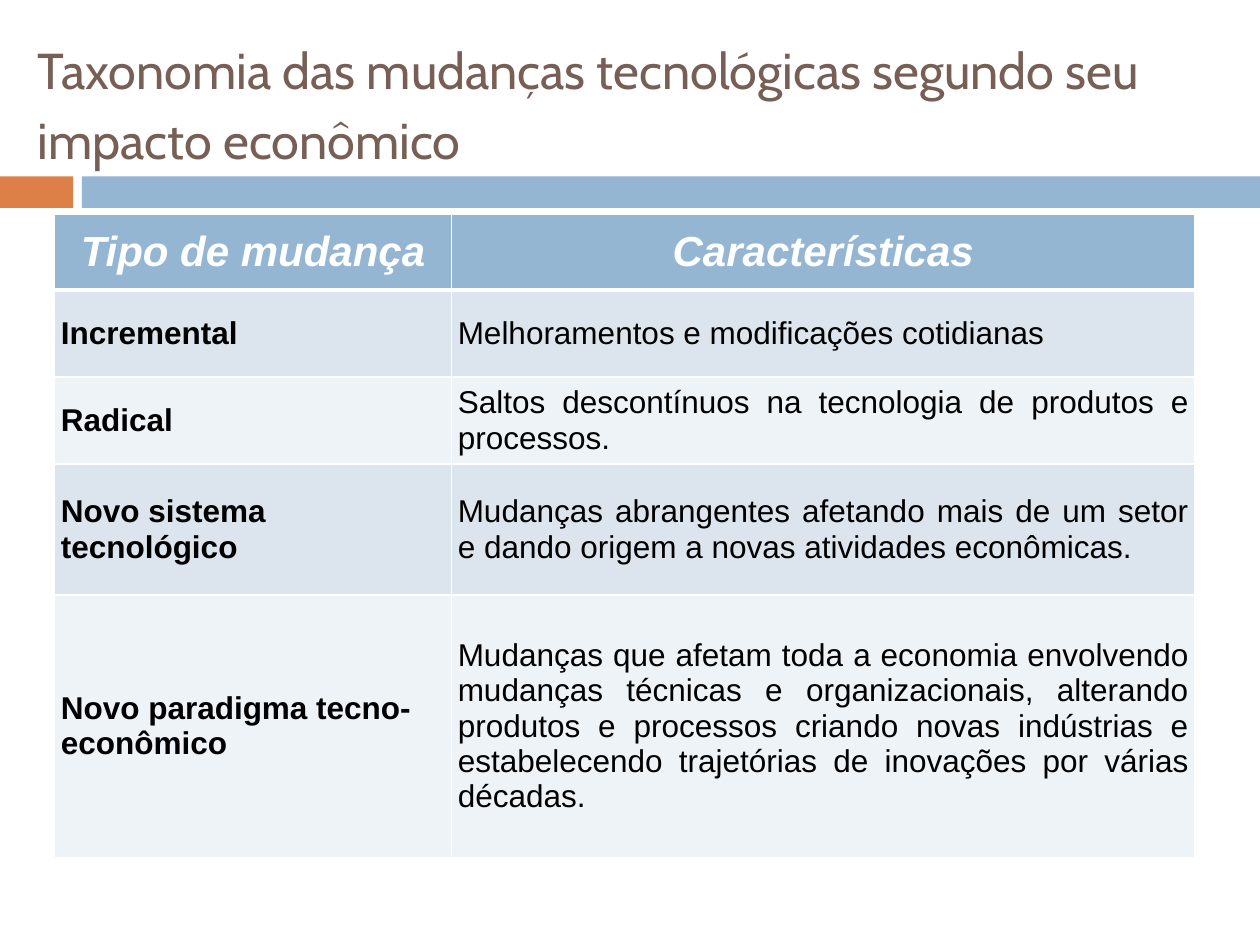
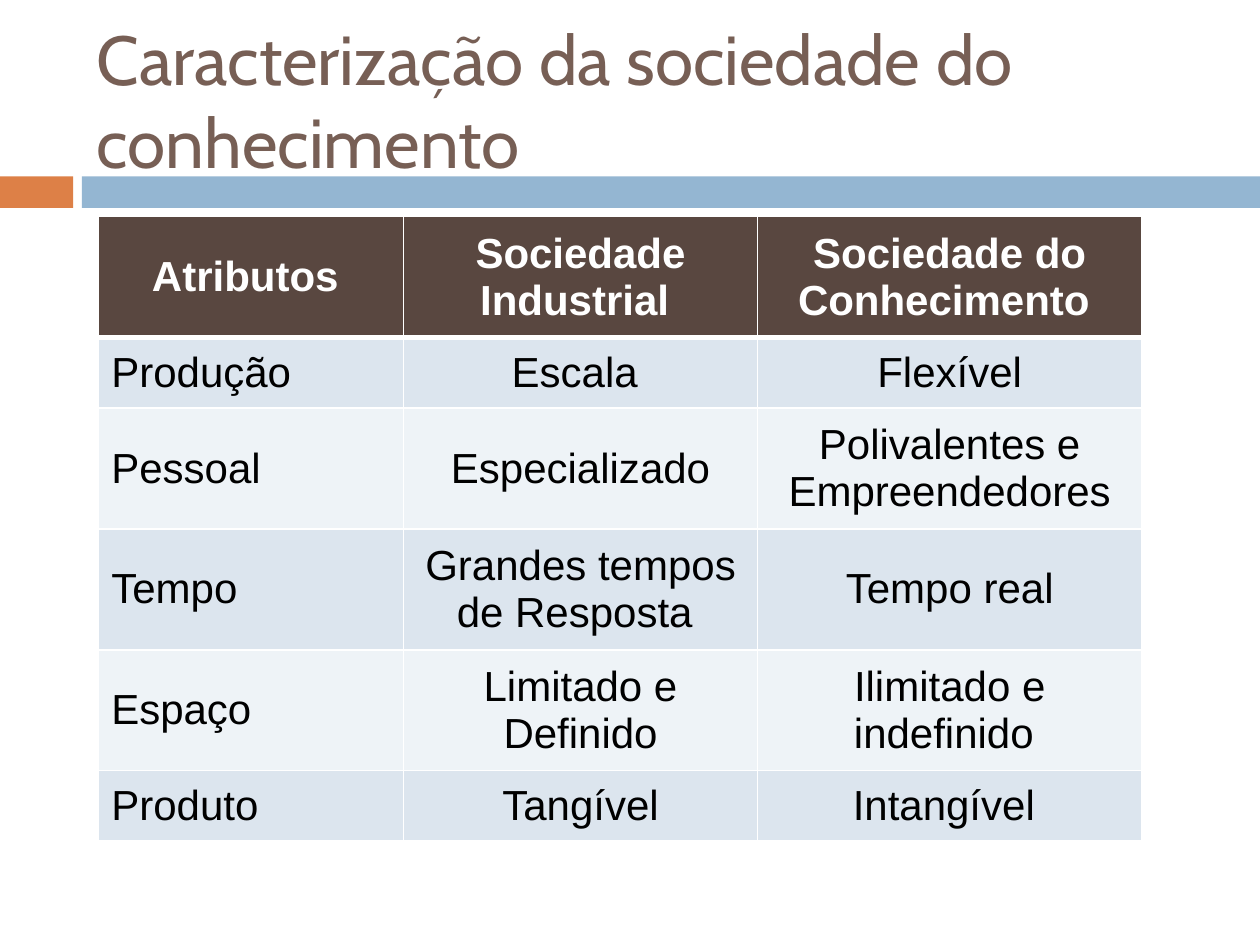
"""Builds two slides with tables on technological change and the knowledge society."""
import pptx
import pptx.dml.color
import pptx.enum.shapes
import pptx.enum.text
import pptx.oxml
import pptx.oxml.ns
import pptx.util

Pt = pptx.util.Pt
RGB = pptx.dml.color.RGBColor
ALIGN = pptx.enum.text.PP_ALIGN
MIDDLE = pptx.enum.text.MSO_ANCHOR.MIDDLE

WHITE = RGB(0xFF, 0xFF, 0xFF)
BLACK = RGB(0x00, 0x00, 0x00)
ORANGE = RGB(0xDD, 0x80, 0x47)
BLUE = RGB(0x94, 0xB6, 0xD2)
TAUPE = RGB(0x77, 0x5F, 0x55)
BROWN = RGB(0x59, 0x47, 0x40)
STRIPES = (RGB(0xDC, 0xE5, 0xEE), RGB(0xEE, 0xF3, 0xF7))

BANDS = [((0, 100.8, 41.8, 18), ORANGE), ((46.8, 100.8, 673.2, 18), BLUE)]
THIN, THICK = 1, 3

SLIDES = [
    {
        "title": [("Taxonomia das mudanças tecnológicas segundo seu impacto econômico", 28.8),
                  (" ", 34.2)],
        "title_box": (14.4, 15.1, 680.4, 90),
        "table_at": (31.2, 122.6),
        "cols": (226.8, 424.8),
        "rows": (43.2, 49.7, 49.7, 74.9, 149.8),
        "head_fill": BLUE,
        "head_font": {"size": Pt(24), "bold": True, "italic": True},
        "label_font": {"size": Pt(18), "bold": True},
        "body_font": {"size": Pt(18), "bold": False},
        "body_align": ALIGN.JUSTIFY,
        "space_before": Pt(12),
        "margins": (3.6, 0),
        "cells": [
            ("Tipo de mudança", "Características"),
            ("Incremental", "Melhoramentos e modificações cotidianas"),
            ("Radical", "Saltos descontínuos na tecnologia de produtos e processos."),
            ("Novo sistema tecnológico",
             "Mudanças abrangentes afetando mais de um setor e dando origem a novas "
             "atividades econômicas."),
            ("Novo paradigma tecno-econômico",
             "Mudanças que afetam toda a economia envolvendo mudanças técnicas e "
             "organizacionais, alterando produtos e processos criando novas indústrias e "
             "estabelecendo trajetórias de inovações por várias décadas. "),
        ],
    },
    {
        "title": [("Caracterização da sociedade do conhecimento", 39.6)],
        "title_box": (48.2, 18, 642.2, 77.8),
        "table_at": (56.4, 123.8),
        "cols": (174.2, 202.3, 219.6),
        "rows": (69.1, 40.3, 69.1, 69.1, 69.1, 40.3),
        "head_fill": BROWN,
        "head_font": {"size": Pt(24), "bold": True},
        "label_font": {"size": Pt(24), "bold": False},
        "body_font": {"size": Pt(24), "bold": False},
        "body_align": ALIGN.CENTER,
        "space_before": Pt(0),
        "margins": (7.2, 3.6),
        "cells": [
            ("Atributos ", "Sociedade Industrial ", "Sociedade do Conhecimento "),
            ("Produção", "Escala ", "Flexível"),
            ("Pessoal", "Especializado", "Polivalentes e Empreendedores"),
            ("Tempo", "Grandes tempos de Resposta ", "Tempo real"),
            ("Espaço", "Limitado e Definido", "Ilimitado e indefinido "),
            ("Produto", "Tangível", "Intangível "),
        ],
    },
]


def apply(obj, **values):
    for name, value in values.items():
        setattr(obj, name, value)


def add_run(p, text, color, **font):
    r = p.add_run()
    r.text = text
    r.font.color.rgb = color
    apply(r.font, **font)


def add_band(s, box, color):
    sp = s.shapes.add_shape(pptx.enum.shapes.MSO_SHAPE.RECTANGLE, *map(Pt, box))
    sp.shadow.inherit = False
    sp.fill.solid()
    sp.fill.fore_color.rgb = color
    sp.line.fill.background()


def add_title(s, box, runs):
    tf = s.shapes.add_textbox(*map(Pt, box)).text_frame
    apply(tf, word_wrap=True, vertical_anchor=MIDDLE)
    for text, size in runs:
        add_run(tf.paragraphs[0], text, TAUPE, size=Pt(size), name="Cabin")


def set_borders(cell, row):
    widths = {"L": THIN, "R": THIN,
              "T": THICK if row == 1 else THIN, "B": THICK if row == 0 else THIN}
    tc_pr = cell._tc.get_or_add_tcPr()
    for i, (side, width) in enumerate(widths.items()):
        tc_pr.insert(i, pptx.oxml.parse_xml(
            f'<a:ln{side} {pptx.oxml.ns.nsdecls("a")} w="{Pt(width)}">'
            f'<a:solidFill><a:srgbClr val="{WHITE}"/></a:solidFill></a:ln{side}>'))


def fill_cell(cell, text, row, col, d):
    if row == 0:
        fill, color, font, align = d["head_fill"], WHITE, d["head_font"], ALIGN.CENTER
    else:
        fill, color = STRIPES[(row - 1) % 2], BLACK
        font = d["body_font"] if col else d["label_font"]
        align = d["body_align"] if col else ALIGN.LEFT
    cell.fill.solid()
    cell.fill.fore_color.rgb = fill
    side, top = map(Pt, d["margins"])
    apply(cell, vertical_anchor=MIDDLE, margin_left=side, margin_right=side,
          margin_top=top, margin_bottom=top)
    p = cell.text_frame.paragraphs[0]
    apply(p, alignment=align, space_before=d["space_before"])
    add_run(p, text, color, name="Arial", **font)
    set_borders(cell, row)


def add_grid(s, d):
    cols, rows = d["cols"], d["rows"]
    box = (*d["table_at"], sum(cols), sum(rows))
    table = s.shapes.add_table(len(rows), len(cols), *map(Pt, box)).table
    for col, width in zip(table.columns, cols):
        col.width = Pt(width)
    for row, height in zip(table.rows, rows):
        row.height = Pt(height)
    for i, texts in enumerate(d["cells"]):
        for j, text in enumerate(texts):
            fill_cell(table.cell(i, j), text, i, j, d)


def main():
    prs = pptx.Presentation()
    apply(prs, slide_width=Pt(720), slide_height=Pt(540))
    for d in SLIDES:
        s = prs.slides.add_slide(prs.slide_layouts[6])
        for box, color in BANDS:
            add_band(s, box, color)
        add_title(s, d["title_box"], d["title"])
        add_grid(s, d)
    prs.save("out.pptx")


if __name__ == "__main__":
    main()
